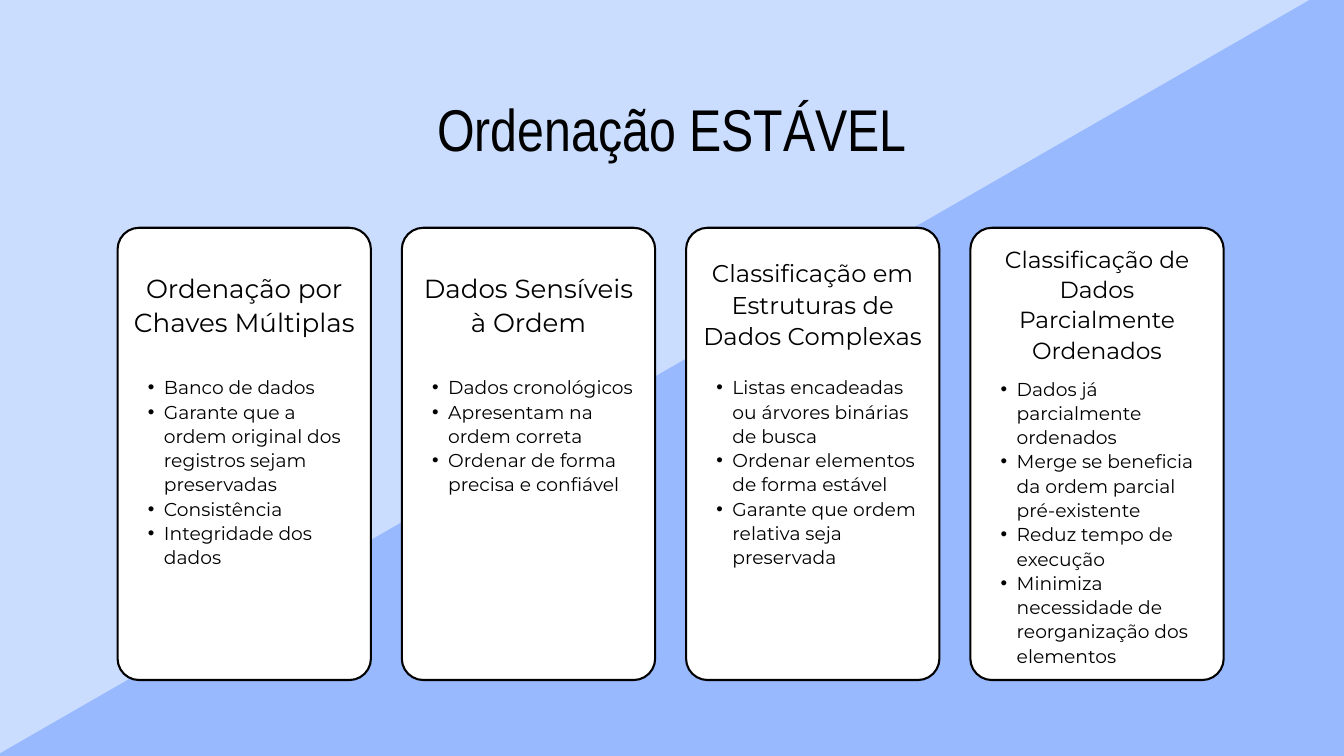
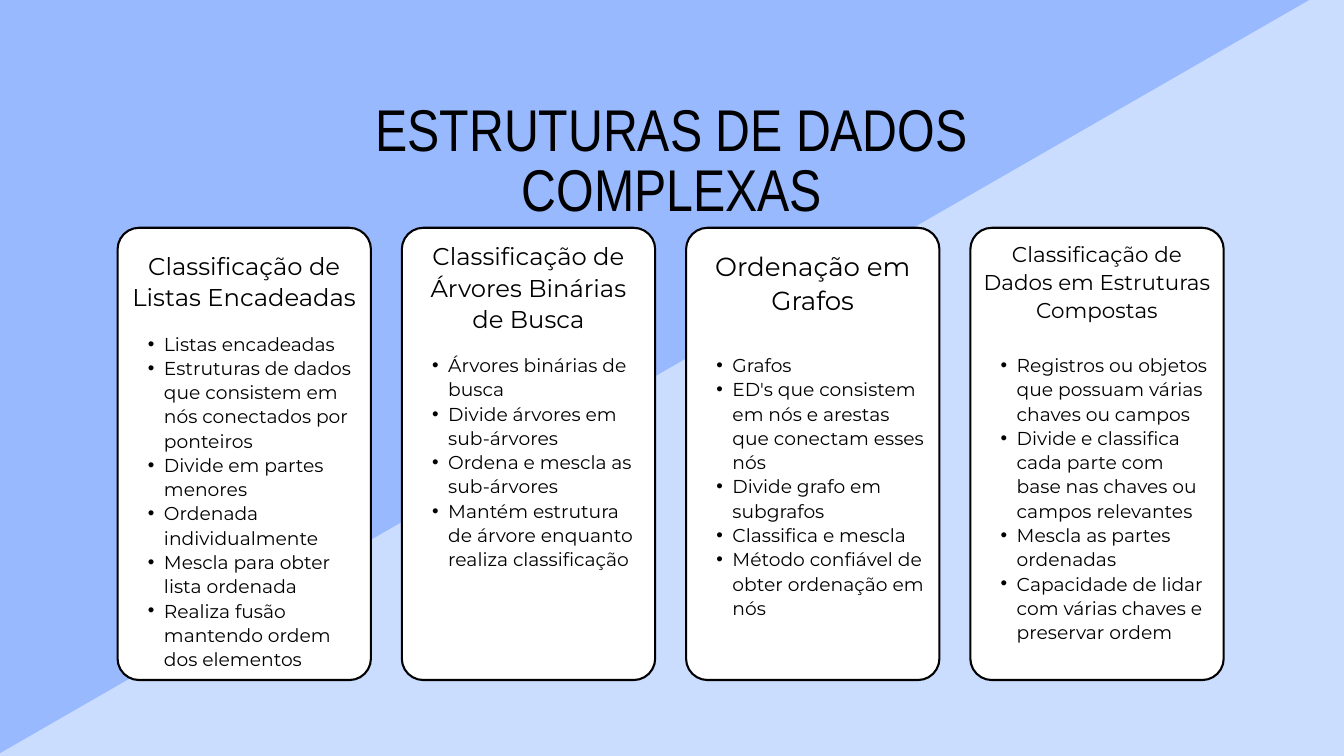
from dataclasses import dataclass

from lxml import etree
from pptx import Presentation
from pptx.dml.color import RGBColor
from pptx.enum import shapes, text
from pptx.oxml import ns
from pptx.util import Inches, Pt

BLACK = RGBColor(0x00, 0x00, 0x00)
WHITE = RGBColor(0xFF, 0xFF, 0xFF)
PALE_BLUE = RGBColor(0xCA, 0xDD, 0xFF)
MID_BLUE = RGBColor(0x99, 0xB9, 0xFF)

TITLE_FONT, BODY_FONT = "Arial Narrow", "Montserrat"
COMPARISON_LAYOUT = 4  # a title and four text placeholders

CARD_LEFT, CARD_TOP = 1.75, 3.39
CARD_WIDTH, CARD_HEIGHT = 3.77, 6.73
CARD_PITCH = 4.23
CORNER = 0.32
LIST_INSET, LIST_WIDTH = 0.22, 3.33
LIST_SIZE = 20
LEADING = 1.3


@dataclass
class Card:
    """Heading and list of one card; tops are measured from the card's top."""
    heading: str
    size: int
    heading_top: float
    heading_height: float
    list_top: float
    list_height: float
    items: list
    heading_width: float = 3.33


STABLE = [
    Card("Ordenação por Chaves Múltiplas", 28, 0.62, 0.99, 2.18, 2.84, [
        "Banco de dados",
        "Garante que a ordem original dos registros sejam preservadas",
        "Consistência",
        "Integridade dos dados"], 3.78),
    Card("Dados Sensíveis à Ordem", 28, 0.62, 0.99, 2.18, 1.77, [
        "Dados cronológicos",
        "Apresentam na ordem correta",
        "Ordenar de forma precisa e confiável"]),
    Card("Classificação em Estruturas de Dados Complexas", 26, 0.42, 1.39, 2.18, 2.84, [
        "Listas encadeadas ou árvores binárias de busca",
        "Ordenar elementos de forma estável",
        "Garante que ordem relativa seja preservada"]),
    Card("Classificação de Dados Parcialmente Ordenados", 25, 0.22, 1.79, 2.2, 4.25, [
        "Dados já parcialmente ordenados",
        "Merge se beneficia da ordem parcial pré-existente",
        "Reduz tempo de execução",
        "Minimiza necessidade de reorganização dos elementos"]),
]

COMPLEX = [
    Card("Classificação de Listas Encadeadas", 26, 0.31, 0.92, 1.53, 4.96, [
        "Listas encadeadas",
        "Estruturas de dados que consistem em nós conectados por ponteiros",
        "Divide em partes menores",
        "Ordenada individualmente",
        "Mescla para obter lista ordenada",
        "Realiza fusão mantendo ordem dos elementos"], 3.45),
    Card("Classificação de Árvores Binárias de Busca", 26, 0.17, 1.39, 1.85, 3.19, [
        "Árvores binárias de busca",
        "Divide árvores em sub-árvores",
        "Ordena e mescla as sub-árvores",
        "Mantém estrutura de árvore enquanto realiza classificação"]),
    Card("Ordenação em Grafos", 28, 0.3, 0.99, 1.85, 3.9, [
        "Grafos",
        "ED's que consistem em nós e arestas que conectam esses nós",
        "Divide grafo em subgrafos",
        "Classifica e mescla",
        "Método confiável de obter ordenação em nós"]),
    Card("Classificação de Dados em Estruturas Compostas", 23, 0.17, 1.61, 1.85, 4.25, [
        "Registros ou objetos que possuam várias chaves ou campos",
        "Divide e classifica cada parte com base nas chaves ou campos relevantes",
        "Mescla as partes ordenadas",
        "Capacidade de lidar com várias chaves e preservar ordem"], 3.4),
]


def place(sp, left, top, width, height):
    sp.left, sp.top = Inches(left), Inches(top)
    sp.width, sp.height = Inches(width), Inches(height)


def add_shape(s, kind, box, fill):
    sp = s.shapes.add_shape(kind, *map(Inches, box))
    sp.shadow.inherit = False
    sp.fill.solid()
    sp.fill.fore_color.rgb = fill
    sp.line.fill.background()
    return sp


def format_text(tf, font, size, leading, align):
    tf.word_wrap = True
    tf.auto_size = text.MSO_AUTO_SIZE.NONE
    tf.vertical_anchor = text.MSO_ANCHOR.TOP
    tf.margin_left = tf.margin_right = tf.margin_top = tf.margin_bottom = 0
    for p in tf.paragraphs:
        p.alignment = align
        p.line_spacing = Pt(leading)
        p.space_before = p.space_after = Pt(0)
        for r in p.runs:
            r.font.name = font
            r.font.size = Pt(size)
            r.font.bold = False
            r.font.color.rgb = BLACK


def add_bullet(p):
    p.level = 1
    pPr = p._p.get_or_add_pPr()
    pPr.set("marL", str(Inches(0.47)))
    pPr.set("indent", str(Inches(-0.24)))
    etree.SubElement(pPr, ns.qn("a:buFont")).set("typeface", "Arial")
    etree.SubElement(pPr, ns.qn("a:buChar")).set("char", "•")


def bring_to_front(sp):
    sp.element.getparent().append(sp.element)


def fill_title(sp, title):
    place(sp, 5.09, 1.55, 9.82, 0.95)
    sp.text_frame.text = title
    format_text(sp.text_frame, TITLE_FONT, 63.1, 63.8, text.PP_ALIGN.CENTER)
    bring_to_front(sp)


def add_card(s, body, left, top, card):
    """Draw a card at left, top and put its list in the body placeholder."""
    frame = add_shape(s, shapes.MSO_SHAPE.ROUNDED_RECTANGLE,
                      (left, top, CARD_WIDTH, CARD_HEIGHT), WHITE)
    frame.adjustments[0] = CORNER / CARD_WIDTH
    frame.line.color.rgb = BLACK
    frame.line.width = Pt(2.25)

    heading_left = left + (CARD_WIDTH - card.heading_width) / 2
    heading = s.shapes.add_textbox(*map(Inches, (
        heading_left, top + card.heading_top, card.heading_width, card.heading_height)))
    heading.text_frame.text = card.heading
    format_text(heading.text_frame, BODY_FONT, card.size, card.size * LEADING,
                text.PP_ALIGN.CENTER)

    place(body, left + LIST_INSET, top + card.list_top, LIST_WIDTH, card.list_height)
    body.text_frame.text = "\n".join(card.items)
    for p in body.text_frame.paragraphs:
        add_bullet(p)
    format_text(body.text_frame, BODY_FONT, LIST_SIZE, LIST_SIZE * LEADING,
                text.PP_ALIGN.LEFT)
    bring_to_front(body)


def add_cards_slide(prs, title, cards, background, diagonal):
    s = prs.slides.add_slide(prs.slide_layouts[COMPARISON_LAYOUT])
    s.background.fill.solid()
    s.background.fill.fore_color.rgb = background
    bodies = [sp for sp in s.placeholders if sp.placeholder_format.idx > 0]

    add_shape(s, shapes.MSO_SHAPE.DIAMOND, (-0.72, -0.79, 43.16, 24.83), diagonal)
    fill_title(s.shapes.title, title)
    for i, (body, card) in enumerate(zip(bodies, cards)):
        add_card(s, body, CARD_LEFT + i * CARD_PITCH, CARD_TOP, card)


def main():
    prs = Presentation()
    prs.slide_width, prs.slide_height = Inches(20), Inches(11.25)
    add_cards_slide(prs, "Ordenação ESTÁVEL", STABLE, PALE_BLUE, MID_BLUE)
    add_cards_slide(prs, "ESTRUTURAS DE DADOS COMPLEXAS", COMPLEX, MID_BLUE, PALE_BLUE)
    prs.save("out.pptx")


if __name__ == "__main__":
    main()
